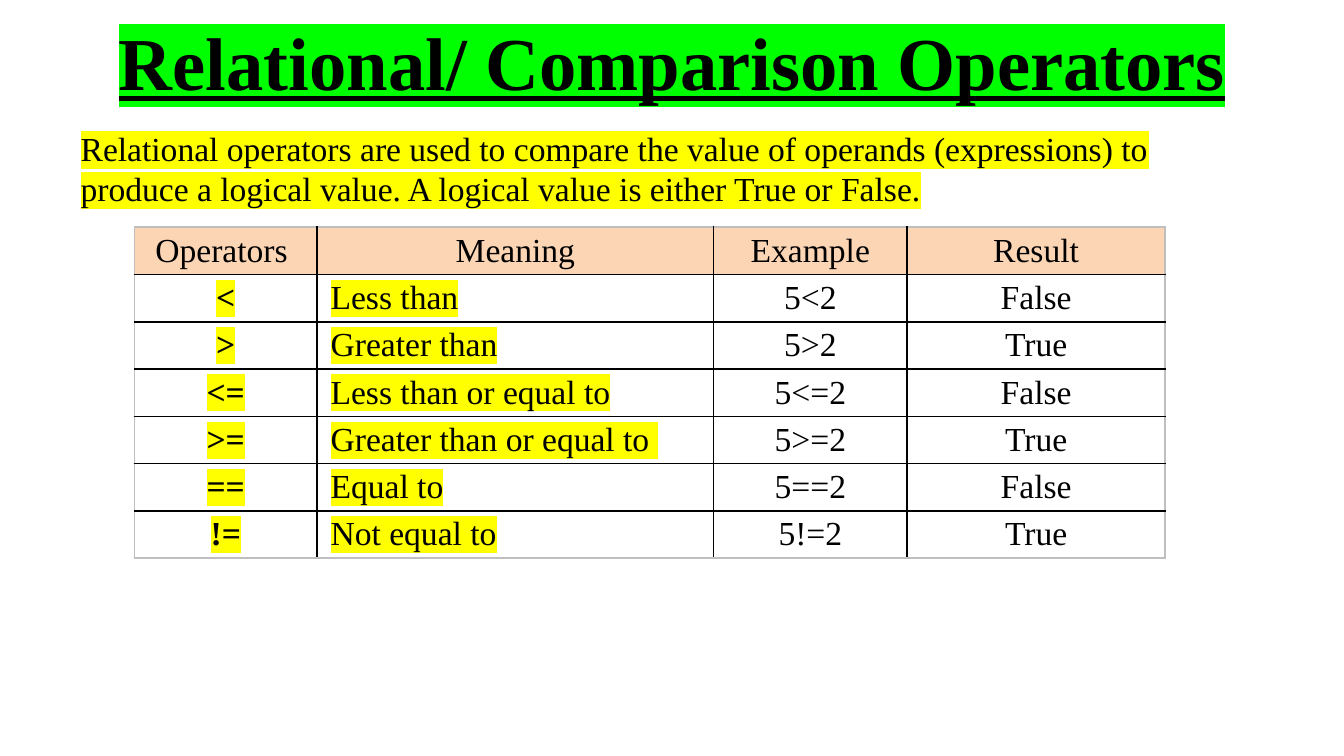
from dataclasses import dataclass

from lxml import etree
from pptx import Presentation
from pptx import util as u
from pptx.dml import color as dml
from pptx.enum import text as tx
from pptx.oxml import ns


@dataclass(frozen=True)
class Theme:
    font: str = "Times New Roman"
    ink: str = "000000"
    lime: str = "00FF00"
    mark: str = "FFFF00"
    head: str = "FCD5B5"
    edge: str = "BFBFBF"
    big: int = 40
    base: int = 18
    line: int = 1


T = Theme()
COLS = [1.36, 2.95, 1.44, 1.92]
HEADS = ["Operators ", "Meaning", "Example", "Result"]
ROWS = [
    ["<", "Less than", "5<2", "False"],
    [">", "Greater than", "5>2", "True"],
    ["<=", "Less than or equal to", "5<=2", "False"],
    [">=", "Greater than or equal to ", "5>=2", "True"],
    ["==", "Equal to", "5==2", "False"],
    ["!=", "Not equal to", "5!=2", "True"],
]
CENTER = tx.PP_ALIGN.CENTER
LEFT = tx.PP_ALIGN.LEFT
FRAME = {"auto_size": tx.MSO_AUTO_SIZE.NONE, "word_wrap": True}
PAD = {"margin_left": u.Inches(0.1), "margin_right": u.Inches(0.1),
       "margin_top": u.Pt(2.7), "margin_bottom": u.Pt(2.7)}


def apply(obj, form):
    for key, value in form.items():
        setattr(obj, key, value)


def place(shape, box):
    names = ("left", "top", "width", "height")
    apply(shape, dict(zip(names, map(u.Inches, box))))


def tint(parent, tag, hue):
    node = etree.SubElement(parent, ns.qn(tag))
    etree.SubElement(node, ns.qn("a:srgbClr")).set("val", hue)
    return node


def write(para, words, mark=None, **form):
    run = para.add_run()
    run.text = words
    run.font.color.rgb = dml.RGBColor.from_string(T.ink)
    if mark:
        tint(run.font._element, "a:highlight", mark)
    apply(run.font, {"name": T.font, "size": u.Pt(T.base), **form})


def border(cell, hues):
    props = cell._tc.get_or_add_tcPr()
    for side, hue in hues.items():
        line = etree.SubElement(props, ns.qn(f"a:ln{side}"))
        line.set("w", str(u.Pt(T.line)))
        tint(line, "a:solidFill", hue)


def title(shape, box):
    place(shape, box)
    frame = shape.text_frame
    apply(frame, {**FRAME, "vertical_anchor": tx.MSO_ANCHOR.MIDDLE})
    para = frame.paragraphs[0]
    para.alignment = CENTER
    write(para, "Relational/ Comparison Operators", T.lime,
          size=u.Pt(T.big), bold=True, underline=True)


def intro(shape, box):
    place(shape, box)
    frame = shape.text_frame
    apply(frame, {**FRAME, "margin_right": u.Inches(0.3)})
    para = frame.paragraphs[0]
    para.space_before = u.Pt(0)
    props = para._p.get_or_add_pPr()
    for key in ("marL", "indent"):
        props.set(key, "0")
    etree.SubElement(props, ns.qn("a:buNone"))
    write(para, "Relational operators are used to compare the value of "
                "operands (expressions) to produce a logical value. "
                "A logical value is either True or False.", T.mark)


def grid(slide, box):
    data = [HEADS] + ROWS
    last, end = len(data) - 1, len(COLS) - 1
    table = slide.shapes.add_table(
        len(data), len(COLS), *map(u.Inches, box)).table
    apply(table, {"first_row": False, "horz_banding": False})
    for col, width in zip(table.columns, COLS):
        col.width = u.Inches(width)
    for r, row in enumerate(data):
        for c, words in enumerate(row):
            cell = table.cell(r, c)
            apply(cell, PAD)
            outer = {"L": c == 0, "R": c == end, "T": r == 0, "B": r == last}
            border(cell, {side: T.edge if out else T.ink
                          for side, out in outer.items()})
            if r == 0:
                cell.fill.solid()
                cell.fill.fore_color.rgb = dml.RGBColor.from_string(T.head)
            else:
                cell.fill.background()
            para = cell.text_frame.paragraphs[0]
            para.alignment = LEFT if r and c == 1 else CENTER
            write(para, words, T.mark if r and c < 2 else None,
                  bold=bool(r and c == 0))


def main():
    deck = Presentation()
    wide = u.Inches(10)
    apply(deck, {"slide_width": wide, "slide_height": wide * 9 // 16})
    slide = deck.slides.add_slide(deck.slide_layouts[1])
    head = slide.shapes.title
    intro(slide.placeholders[1], (0.5, 0.9, 9, 0.92))
    grid(slide, (1, 1.69, sum(COLS), 0.35 * (len(ROWS) + 1)))
    title(head, (0.5, -0.02, 9, 0.94))
    slide.shapes._spTree.append(head._element)
    deck.save("out.pptx")


if __name__ == "__main__":
    main()
